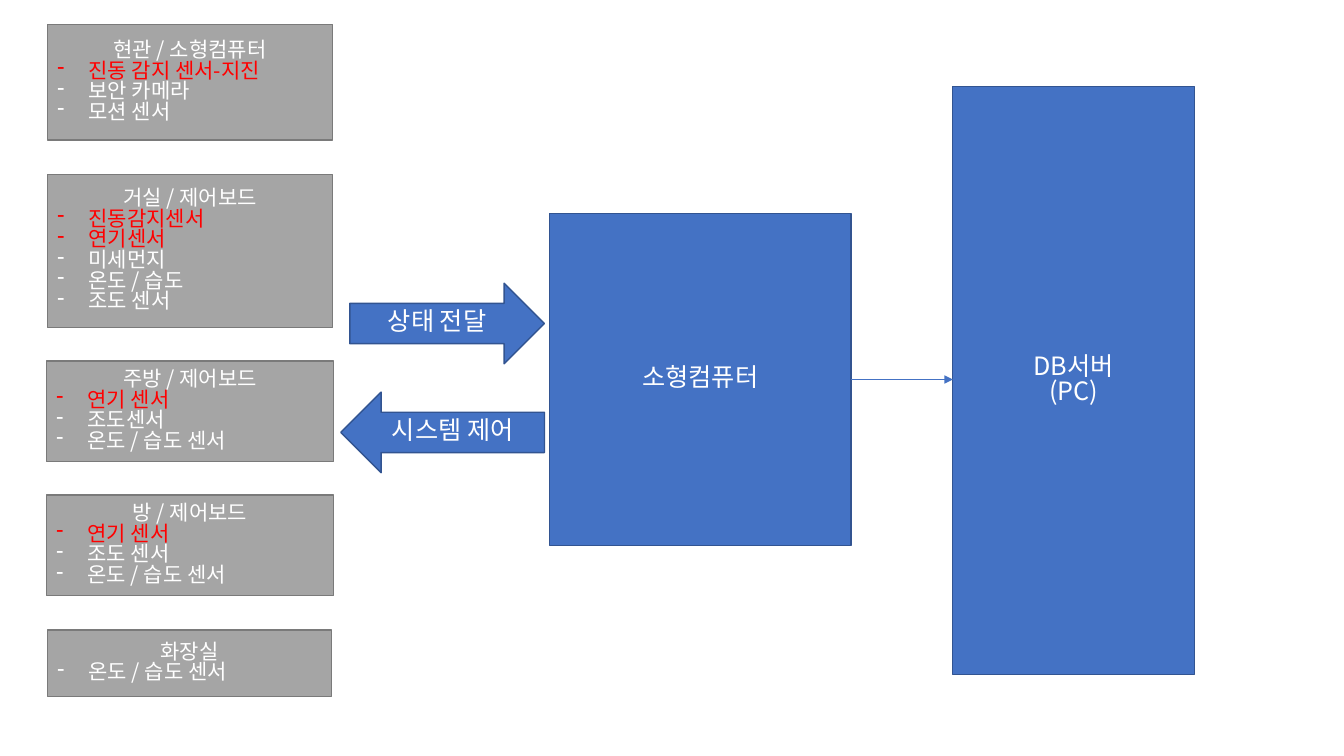
"""Build a slide showing how home sensors report to a hub and a database server."""
from dataclasses import dataclass

from lxml import etree
from pptx import Presentation
from pptx.dml.color import RGBColor
from pptx.enum.shapes import MSO_CONNECTOR, MSO_SHAPE
from pptx.enum.text import MSO_ANCHOR, PP_ALIGN
from pptx.oxml.ns import qn
from pptx.util import Inches, Pt

RECTANGLE = MSO_SHAPE.RECTANGLE
RIGHT_ARROW = MSO_SHAPE.RIGHT_ARROW
LEFT_ARROW = MSO_SHAPE.LEFT_ARROW
STRAIGHT = MSO_CONNECTOR.STRAIGHT
MIDDLE = MSO_ANCHOR.MIDDLE
CENTER = PP_ALIGN.CENTER
LEFT = PP_ALIGN.LEFT

WHITE = RGBColor(0xFF, 0xFF, 0xFF)
RED = RGBColor(0xFF, 0x00, 0x00)
GRAY = RGBColor(0xA5, 0xA5, 0xA5)
GRAY_EDGE = RGBColor(0x7A, 0x7A, 0x7A)
BLUE = RGBColor(0x44, 0x72, 0xC4)
BLUE_EDGE = RGBColor(0x32, 0x54, 0x91)

FONT = "Noto Sans CJK KR"
LINE_SPACING = 0.82
ROOM_SIZE = 15
SYSTEM_SIZE = 18
BULLET_INDENT = Inches(0.31)


@dataclass(frozen=True)
class Frame:
    left: float
    top: float
    width: float
    height: float


@dataclass(frozen=True)
class Room:
    frame: Frame
    title: str
    alarms: tuple[str, ...]
    sensors: tuple[str, ...]


@dataclass(frozen=True)
class Block:
    frame: Frame
    kind: MSO_SHAPE
    lines: tuple[str, ...]


ROOMS = (
    Room(Frame(0.47, 0.24, 2.83, 1.15), "현관 / 소형컴퓨터",
         ("진동 감지 센서-지진",), ("보안 카메라", "모션 센서")),
    Room(Frame(0.47, 1.73, 2.83, 1.52), "거실 / 제어보드",
         ("진동감지센서", "연기센서"), ("미세먼지", "온도 / 습도", "조도 센서")),
    Room(Frame(0.46, 3.58, 2.85, 1), "주방 / 제어보드",
         ("연기 센서",), ("조도센서", "온도 / 습도 센서")),
    Room(Frame(0.46, 4.91, 2.85, 1), "방 / 제어보드",
         ("연기 센서",), ("조도 센서", "온도 / 습도 센서")),
    Room(Frame(0.47, 6.25, 2.82, 0.66), "화장실", (), ("온도 / 습도 센서",)),
)
HUB = Block(Frame(5.45, 2.12, 2.99, 3.29), RECTANGLE, ("소형컴퓨터",))
SERVER = Block(Frame(9.45, 0.86, 2.4, 5.83), RECTANGLE, ("DB서버", "(PC)"))
BLOCKS = (
    HUB,
    SERVER,
    Block(Frame(3.47, 2.81, 1.93, 0.8), RIGHT_ARROW, ("상태 전달",)),
    Block(Frame(3.38, 3.89, 2.02, 0.8), LEFT_ARROW, ("시스템 제어",)),
)


def add_box(page, frame: Frame, kind: MSO_SHAPE, fill: RGBColor, edge: RGBColor):
    box = page.shapes.add_shape(kind, Inches(frame.left), Inches(frame.top),
                                Inches(frame.width), Inches(frame.height))
    box.shadow.inherit = False
    box.fill.solid()
    box.fill.fore_color.rgb = fill
    box.line.color.rgb = edge
    box.line.width = Pt(1)
    box.text_frame.word_wrap = True
    box.text_frame.vertical_anchor = MIDDLE
    return box


def write_line(para, text: str, size: int, color: RGBColor = WHITE) -> None:
    para.alignment = CENTER
    para.line_spacing = LINE_SPACING
    span = para.add_run()
    span.text = text
    span.font.size = Pt(size)
    span.font.name = FONT
    span.font.color.rgb = color
    east_asian = etree.SubElement(span.font._element, qn("a:ea"))
    east_asian.set("typeface", FONT)


def add_bullet(para) -> None:
    para.alignment = LEFT
    properties = para._p.get_or_add_pPr()
    properties.set("marL", str(BULLET_INDENT))
    properties.set("indent", str(-BULLET_INDENT))
    bullet = etree.SubElement(properties, qn("a:buChar"))
    bullet.set("char", "-")


def draw_room(page, room: Room) -> None:
    text = add_box(page, room.frame, RECTANGLE, GRAY, GRAY_EDGE).text_frame
    write_line(text.paragraphs[0], room.title, ROOM_SIZE)
    for names, color in ((room.alarms, RED), (room.sensors, WHITE)):
        for name in names:
            para = text.add_paragraph()
            write_line(para, name, ROOM_SIZE, color)
            add_bullet(para)


def draw_block(page, block: Block) -> None:
    text = add_box(page, block.frame, block.kind, BLUE, BLUE_EDGE).text_frame
    for index, line in enumerate(block.lines):
        para = text.add_paragraph() if index else text.paragraphs[0]
        write_line(para, line, SYSTEM_SIZE)


def draw_link(page, source: Frame, target: Frame) -> None:
    middle = Inches(source.top + source.height / 2)
    link = page.shapes.add_connector(STRAIGHT, Inches(source.left + source.width), middle,
                                     Inches(target.left), middle)
    link.line.color.rgb = BLUE
    link.line.width = Pt(0.5)
    arrowhead = etree.SubElement(link.line._get_or_add_ln(), qn("a:tailEnd"))
    arrowhead.set("type", "triangle")
    etree.SubElement(link._element.spPr, qn("a:effectLst"))


def main() -> None:
    deck = Presentation()
    deck.slide_width = Inches(13.33)
    deck.slide_height = Inches(7.5)
    page = deck.slides.add_slide(deck.slide_layouts[6])
    for room in ROOMS:
        draw_room(page, room)
    for block in BLOCKS:
        draw_block(page, block)
    draw_link(page, HUB.frame, SERVER.frame)
    deck.save("out.pptx")


if __name__ == "__main__":
    main()
